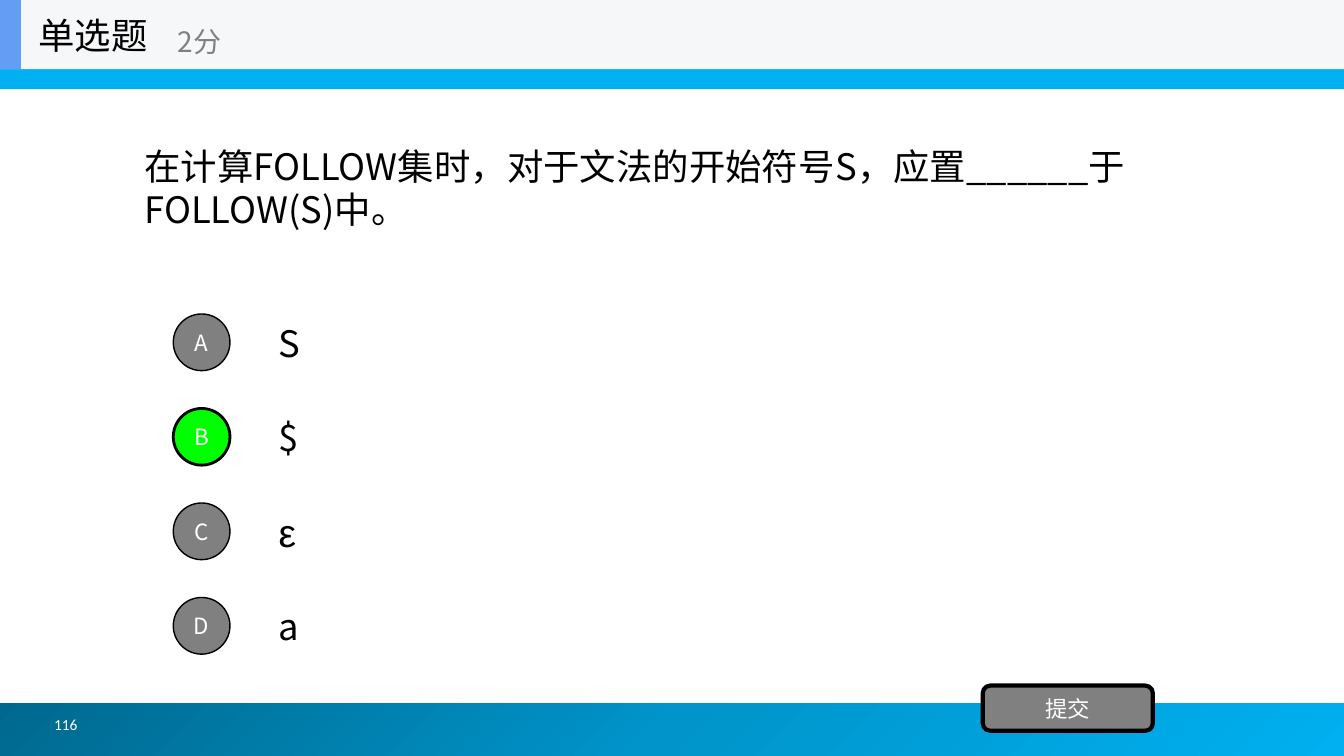
from copy import deepcopy
from dataclasses import dataclass

from lxml import etree
from pptx import Presentation
from pptx import util as u
from pptx.dml.color import RGBColor
from pptx.enum import shapes, text
from pptx.oxml import ns

PX = 9525  # EMU in one px, 96 px to the inch
SANS = "Noto Sans CJK SC"
BLACK, WHITE, GREY, SKY = "000000", "FFFFFF", "808080", "00B0F0"
KIND = shapes.MSO_SHAPE
LEFT, MID = text.PP_ALIGN.LEFT, text.PP_ALIGN.CENTER


@dataclass
class Box:
    x: int
    y: int
    w: int
    h: int

    def emu(self) -> list:
        return [u.Emu(n * PX) for n in (self.x, self.y, self.w, self.h)]


@dataclass
class Choice:
    mark: str
    words: str
    fill: str = GREY
    edge: int = 1
    font: str = SANS
    size: int = 26


def color(code: str) -> RGBColor:
    return RGBColor.from_string(code)


def write(shape, words: str, size: int, ink: str = BLACK, font: str = SANS,
          align=LEFT, wrap: bool = True) -> None:
    frame = shape.text_frame
    frame.text = words
    form = {"word_wrap": wrap, "auto_size": text.MSO_AUTO_SIZE.NONE,
            "vertical_anchor": text.MSO_ANCHOR.MIDDLE}
    for key, value in form.items():
        setattr(frame, key, value)
    para = frame.paragraphs[0]
    para.alignment = align
    for run in para.runs:
        for key, value in {"size": u.Pt(size), "name": font}.items():
            setattr(run.font, key, value)
        run.font.color.rgb = color(ink)
        # East Asian glyphs take their own typeface
        props = run.font._element
        etree.SubElement(props, ns.qn("a:ea")).set("typeface", SANS)


def label(slide, box: Box, words: str, size: int, ink: str = BLACK,
          font: str = SANS) -> None:
    write(slide.shapes.add_textbox(*box.emu()), words, size, ink, font)


def block(slide, box: Box, fill: str, kind=KIND.RECTANGLE, edge: int = 0):
    shape = slide.shapes.add_shape(kind, *box.emu())
    shape.shadow.inherit = False
    shape.fill.solid()
    shape.fill.fore_color.rgb = color(fill)
    if edge:
        shape.line.color.rgb = color(BLACK)
        shape.line.width = u.Pt(edge)
    else:
        shape.line.fill.background()
    return shape


def shade(shape, codes: list, angle: int) -> None:
    fill = shape.fill
    fill.gradient()
    fill.gradient_angle = angle
    stops = shape.element.spPr.find(".//" + ns.qn("a:gsLst"))
    while len(stops) < len(codes):
        stops.append(deepcopy(stops[0]))
    for i, (stop, code) in enumerate(zip(fill.gradient_stops, codes)):
        stop.position = i / (len(codes) - 1)
        stop.color.rgb = color(code)


def main() -> None:
    deck = Presentation()
    deck.slide_width, deck.slide_height = u.Emu(1280 * PX), u.Emu(720 * PX)
    slide = deck.slides.add_slide(deck.slide_layouts[5])

    # Footer band and slide number
    foot = block(slide, Box(-5, 670, 1285, 50), SKY)
    shade(foot, ["00688E", "0094CA", SKY], 315)
    label(slide, Box(42, 666, 277, 48), "116", 11, WHITE, "Calibri")

    # Header bands, title above them, and points
    block(slide, Box(-2, 2, 1283, 83), SKY)
    block(slide, Box(0, 0, 1280, 66), "F6F7F8")
    block(slide, Box(0, 0, 20, 66), "639EF4")
    title = slide.shapes.title
    title.left, title.top, title.width, title.height = Box(27, 0, 200, 66).emu()
    write(title, "单选题", 26)
    title.element.getparent().append(title.element)
    label(slide, Box(160, 12, 240, 54), "2分", 20, GREY)

    # Question
    label(slide, Box(128, 66, 1024, 225),
          "在计算FOLLOW集时，对于文法的开始符号S，应置______于FOLLOW(S)中。", 26)

    # Choices, one row each
    rows = [Choice("A", "S"), Choice("B", "$", "00FF00", 2),
            Choice("C", "ε", font="Arial", size=28), Choice("D", "a")]
    for i, row in enumerate(rows):
        top = 293 + 90 * i
        label(slide, Box(256, top, 896, 67), row.words, row.size, font=row.font)
        dot = block(slide, Box(165, top + 6, 54, 54), row.fill, KIND.OVAL, row.edge)
        write(dot, row.mark, 16, WHITE, align=MID, wrap=False)

    # Submit button
    button = block(slide, Box(936, 653, 162, 43), GREY, KIND.ROUNDED_RECTANGLE, 3)
    write(button, "提交", 16, WHITE, align=MID, wrap=False)

    deck.save("out.pptx")


if __name__ == "__main__":
    main()
